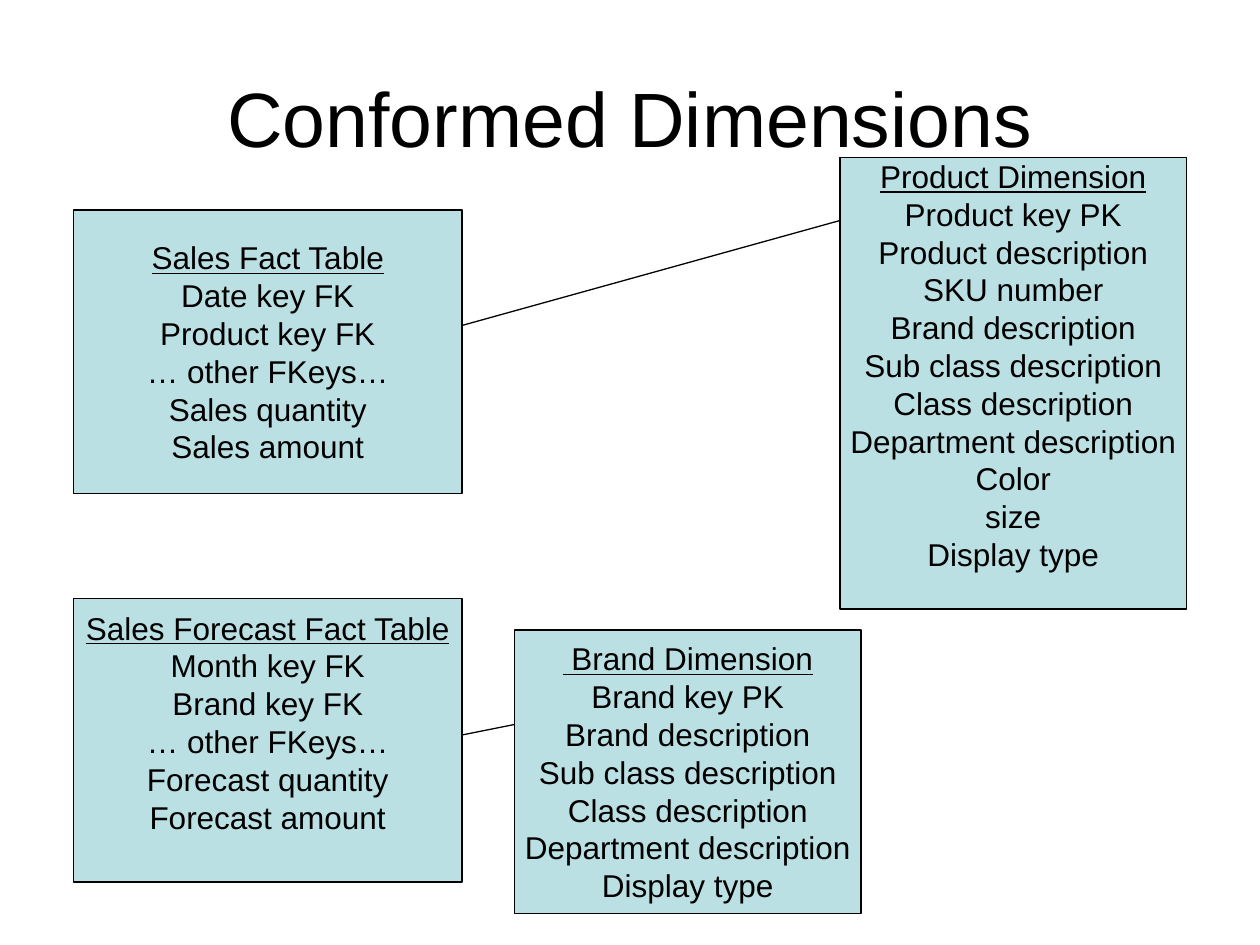
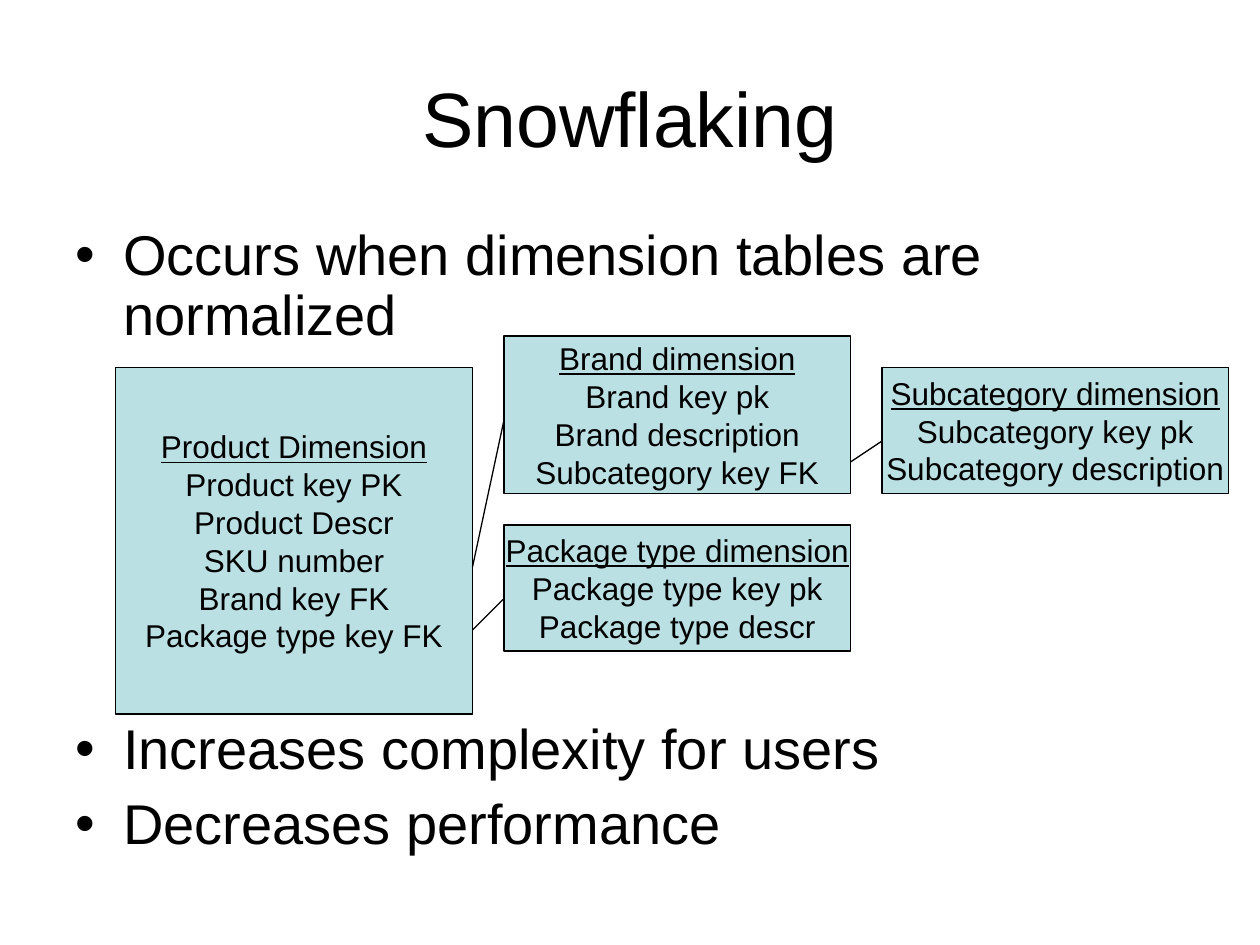
from lxml.etree import SubElement
from pptx import Presentation
from pptx.dml.color import RGBColor
from pptx.enum.shapes import MSO_CONNECTOR, MSO_SHAPE
from pptx.enum.text import MSO_ANCHOR, PP_ALIGN
from pptx.oxml.ns import qn
from pptx.util import Inches, Pt

SLIDE_WIDTH, SLIDE_HEIGHT = Inches(10), Inches(7.5)
COLUMNS, ROWS = 120, 90
BLANK_LAYOUT = 6
FONT = "Arial"
BLACK, BOX_FILL = "000000", "BBE0E3"
LINE_WIDTH = Pt(0.75)
TABLE_LINE = Inches(0.29)
BULLET_INDENT = Inches(0.38)
BULLET_GAP = 8
DIAGRAM_GAP = 213.5


def color(value):
    return RGBColor.from_string(value)


def column(count):
    return round(SLIDE_WIDTH * count / COLUMNS)


def row(count):
    return round(SLIDE_HEIGHT * count / ROWS)


def grid_area(left, top, width, height):
    return column(left), row(top), column(width), row(height)


def set_format(target, values):
    for name, value in values.items():
        setattr(target, name, value)


def add_paragraph(text_frame, text, size, font_format=None, **paragraph_format):
    """Fill the empty first paragraph, or append another one."""
    first = text_frame.paragraphs[0]
    paragraph = text_frame.add_paragraph() if first.runs else first
    set_format(paragraph, paragraph_format)
    run = paragraph.add_run()
    run.text = text
    set_format(run.font, {"name": FONT, "size": Pt(size), **(font_format or {})})
    run.font.color.rgb = color(BLACK)
    return paragraph


def add_title(slide, text):
    title = slide.shapes.add_textbox(*grid_area(6, 3.6, 108, 15))
    set_format(title.text_frame, {"word_wrap": True, "vertical_anchor": MSO_ANCHOR.MIDDLE})
    add_paragraph(title.text_frame, text, 44, alignment=PP_ALIGN.CENTER)


def add_table_box(slide, area, heading, fields, lines_below=0):
    """Draw a database table: underlined heading, then one field per line."""
    box = slide.shapes.add_shape(MSO_SHAPE.RECTANGLE, *grid_area(*area))
    box.shadow.inherit = False
    box.fill.solid()
    box.fill.fore_color.rgb = color(BOX_FILL)
    box.line.color.rgb = color(BLACK)
    box.line.width = LINE_WIDTH
    set_format(box.text_frame, {
        "word_wrap": False,
        "vertical_anchor": MSO_ANCHOR.MIDDLE,
        "margin_bottom": Inches(0.05) + lines_below * TABLE_LINE,
    })
    for text in [heading, *fields]:
        add_paragraph(box.text_frame, text, 18, {"underline": text == heading},
                      alignment=PP_ALIGN.CENTER)


def add_relation(slide, start, end):
    """Join two (column, row) points with a thin line."""
    line = slide.shapes.add_connector(
        MSO_CONNECTOR.STRAIGHT, column(start[0]), row(start[1]), column(end[0]), row(end[1]))
    line.line.color.rgb = color(BLACK)
    line.line.width = LINE_WIDTH
    SubElement(line._element.spPr, qn("a:effectLst"))


def add_bullets(slide, area, bullets):
    """Add (text, space before in points) bullets."""
    body = slide.shapes.add_textbox(*grid_area(*area))
    body.text_frame.word_wrap = True
    for text, space_before in bullets:
        paragraph = add_paragraph(body.text_frame, text, 32,
                                  line_spacing=0.9, space_before=Pt(space_before))
        properties = paragraph._p.get_or_add_pPr()
        properties.set("marL", str(BULLET_INDENT))
        properties.set("indent", str(-BULLET_INDENT))
        SubElement(properties, qn("a:buFont"), typeface=FONT)
        SubElement(properties, qn("a:buChar"), char="•")


def add_slide(presentation, title):
    slide = presentation.slides.add_slide(presentation.slide_layouts[BLANK_LAYOUT])
    add_title(slide, title)
    return slide


def build_conformed_dimensions(presentation):
    slide = add_slide(presentation, "Conformed Dimensions")
    other_keys = "… other FKeys…"
    hierarchy = ["Brand description", "Sub class description", "Class description",
                 "Department description"]
    add_table_box(slide, (7, 20, 37, 27), "Sales Fact Table",
                  ["Date key FK", "Product key FK", other_keys,
                   "Sales quantity", "Sales amount"])
    add_table_box(slide, (80, 15, 33, 43), "Product Dimension",
                  ["Product key PK", "Product description", "SKU number", *hierarchy,
                   "Color", "size", "Display type"], lines_below=1)
    add_table_box(slide, (7, 57, 37, 27), "Sales Forecast Fact Table",
                  ["Month key FK", "Brand key FK", other_keys,
                   "Forecast quantity", "Forecast amount"], lines_below=1)
    add_table_box(slide, (49, 60, 33, 27), " Brand Dimension",
                  ["Brand key PK", *hierarchy, "Display type"])
    add_relation(slide, (80, 21), (44, 31))
    add_relation(slide, (49, 69), (44, 70))


def build_snowflaking(presentation):
    slide = add_slide(presentation, "Snowflaking")
    add_bullets(slide, (6, 21, 108, 65), [
        ("Occurs when dimension tables are normalized", BULLET_GAP),
        ("Increases complexity for users", DIAGRAM_GAP),
        ("Decreases performance", BULLET_GAP),
    ])
    add_table_box(slide, (11, 35, 34, 33), "Product Dimension",
                  ["Product key PK", "Product Descr", "SKU number",
                   "Brand key FK", "Package type key FK"])
    add_table_box(slide, (48, 32, 33, 15), "Brand dimension",
                  ["Brand key pk", "Brand description", "Subcategory key FK"])
    add_table_box(slide, (84, 35, 33, 12), "Subcategory dimension",
                  ["Subcategory key pk", "Subcategory description"])
    add_table_box(slide, (48, 50, 33, 12), "Package type dimension",
                  ["Package type key pk", "Package type descr"])
    add_relation(slide, (45, 54), (48, 40))
    add_relation(slide, (45, 60), (48, 57))
    add_relation(slide, (81, 44), (84, 42))


def main():
    presentation = Presentation()
    set_format(presentation, {"slide_width": SLIDE_WIDTH, "slide_height": SLIDE_HEIGHT})
    build_conformed_dimensions(presentation)
    build_snowflaking(presentation)
    presentation.save("out.pptx")


if __name__ == "__main__":
    main()
